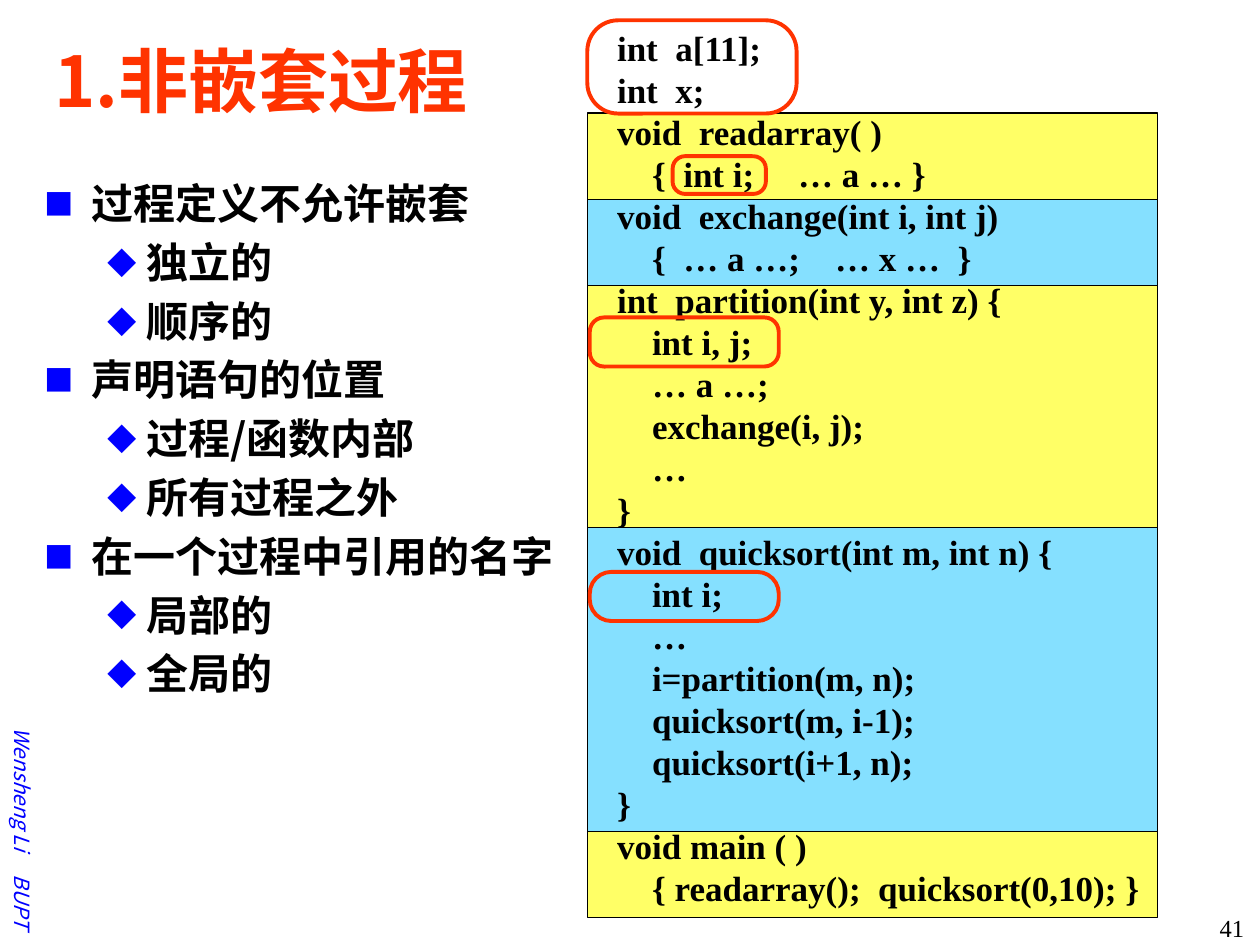
from lxml.etree import SubElement
from pptx import Presentation
from pptx.dml.color import RGBColor
from pptx.enum.shapes import MSO_SHAPE as Shape
from pptx.enum.text import MSO_ANCHOR as Anchor, MSO_AUTO_SIZE as AutoSize, PP_ALIGN as Align
from pptx.oxml.ns import qn
from pptx.util import Cm, Pt

COLORS = {"black": "000000", "blue": "0000FF", "red": "FF3300",
          "yellow": "FFFF66", "sky": "85E0FF"}
SANS, SERIF = "Noto Sans CJK SC", "Times New Roman"

OUTLINE = [
    ("过程定义不允许嵌套", ["独立的", "顺序的"]),
    ("声明语句的位置", ["过程/函数内部", "所有过程之外"]),
    ("在一个过程中引用的名字", ["局部的", "全局的"]),
]
# Bullet character, text indent and hanging width in cm for each level
BULLETS = [("■", 0.95, 0.95), ("◆", 2.06, 0.79)]

CODE = [
    "int  a[11];",
    "int  x;",
    "void  readarray( )",
    "    {  int i;     … a … }",
    "void  exchange(int i, int j)",
    "    {  … a …;    … x …  }",
    "int  partition(int y, int z) {",
    "    int i, j;",
    "    … a …;",
    "    exchange(i, j);",
    "    …",
    "}",
    "void  quicksort(int m, int n) {",
    "    int i;",
    "    …",
    "    i=partition(m, n);",
    "    quicksort(m, i-1);",
    "    quicksort(i+1, n);",
    "}",
    "void main ( )",
    "    { readarray();  quicksort(0,10); }",
]
# Heights in cm of the bands behind the procedures, from top to bottom
BAND_LEFT, BAND_TOP, BAND_WIDTH = 11.85, 2.28, 11.48
BAND_HEIGHTS = [1.74, 1.74, 4.88, 6.12, 1.74]
# Left, top, width, height in cm and corner ratio of each declaration frame
FRAMES = [
    (11.84, 0.41, 4.22, 1.88, 0.33),
    (13.56, 3.15, 1.88, 0.76, 0.33),
    (11.89, 6.4, 3.81, 0.99, 0.29),
    (11.89, 11.53, 3.81, 0.99, 0.44),
]


def color(name):
    return RGBColor.from_string(COLORS[name])


def place(shape, left, top, width, height):
    shape.left, shape.top = Cm(left), Cm(top)
    shape.width, shape.height = Cm(width), Cm(height)


def format_runs(paragraph, size, font_name, color_name, bold=False, italic=False):
    for run in paragraph.runs:
        font = run.font
        font.size, font.name = Pt(size), font_name
        font.bold, font.italic = bold, italic
        font.color.rgb = color(color_name)
        SubElement(font._element, qn("a:ea"), typeface=font_name)


def add_bullet(paragraph, level):
    character, indent, hanging = BULLETS[level]
    paragraph.level = level
    properties = paragraph._p.get_or_add_pPr()
    properties.set("marL", str(Cm(indent)))
    properties.set("indent", str(-Cm(hanging)))
    bullet_color = SubElement(properties, qn("a:buClr"))
    SubElement(bullet_color, qn("a:srgbClr"), val=COLORS["blue"])
    SubElement(properties, qn("a:buSzPct"), val="70000")
    SubElement(properties, qn("a:buFont"), typeface=SANS)
    SubElement(properties, qn("a:buChar"), char=character)


def fill_title(title):
    place(title, 0.84, 0.43, 23.93, 2.34)
    text_frame = title.text_frame
    text_frame.text = "1.非嵌套过程"
    text_frame.vertical_anchor = Anchor.MIDDLE
    text_frame.auto_size = AutoSize.NONE
    paragraph = text_frame.paragraphs[0]
    paragraph.alignment = Align.LEFT
    format_runs(paragraph, 40, SANS, "red", bold=True)


def fill_outline(body):
    place(body, 0.64, 3.38, 11.2, 14.4)
    text_frame = body.text_frame
    text_frame.auto_size = AutoSize.NONE
    text_frame.margin_top = Cm(0.2)
    lines = []
    for heading, details in OUTLINE:
        lines.append((heading, 0))
        lines.extend((detail, 1) for detail in details)
    text_frame.text = "\n".join(text for text, _ in lines)
    for number, (paragraph, (_, level)) in enumerate(zip(text_frame.paragraphs, lines)):
        add_bullet(paragraph, level)
        paragraph.line_spacing = Pt(28.8)
        paragraph.space_before = Pt(4.8 if number else 0)
        format_runs(paragraph, 24, SANS, "black", bold=True)


def add_band(slide, top, height, fill_name):
    band = slide.shapes.add_shape(Shape.RECTANGLE, Cm(BAND_LEFT), Cm(top),
                                  Cm(BAND_WIDTH), Cm(height))
    band.shadow.inherit = False
    band.fill.solid()
    band.fill.fore_color.rgb = color(fill_name)
    band.line.color.rgb = color("black")
    band.line.width = Pt(0.75)


def add_frame(slide, left, top, width, height, corner):
    frame = slide.shapes.add_shape(Shape.ROUNDED_RECTANGLE, Cm(left), Cm(top),
                                   Cm(width), Cm(height))
    frame.shadow.inherit = False
    frame.adjustments[0] = corner
    frame.fill.background()
    frame.line.color.rgb = color("red")
    frame.line.width = Pt(2.25)


def add_text(slide, left, top, width, height, text):
    box = slide.shapes.add_textbox(Cm(left), Cm(top), Cm(width), Cm(height))
    box.text_frame.word_wrap = True
    box.text_frame.text = text
    return box


def add_code(slide):
    box = add_text(slide, 12.19, 0.41, 12.5, 18.26, "\n".join(CODE))
    for paragraph in box.text_frame.paragraphs:
        paragraph.line_spacing = Pt(24)
        format_runs(paragraph, 20, SERIF, "black", bold=True)


def add_author(slide):
    box = add_text(slide, -2.9, 15.24, 6.71, 0.76, "Wensheng Li")
    box.rotation = 90
    box.text_frame.vertical_anchor = Anchor.MIDDLE
    paragraph = box.text_frame.paragraphs[0]
    paragraph.alignment = Align.RIGHT
    gap = paragraph.add_run()
    gap.text = " "
    paragraph.add_run().text = "BUPT"
    format_runs(paragraph, 12, SANS, "blue", italic=True)
    # Wide letter spacing separates the name from the university
    gap.font._element.set("spc", "1075")


def add_page_number(slide):
    box = add_text(slide, 23.22, 18.29, 2.11, 0.76, "41")
    paragraph = box.text_frame.paragraphs[0]
    paragraph.alignment = Align.RIGHT
    format_runs(paragraph, 14, SERIF, "black")


def main():
    presentation = Presentation()
    presentation.slide_width, presentation.slide_height = Cm(25.4), Cm(19.05)
    slide = presentation.slides.add_slide(presentation.slide_layouts[1])

    # Title and outline
    fill_title(slide.shapes.title)
    fill_outline(slide.placeholders[1])

    # Coloured bands, alternating from procedure to procedure
    for number, height in enumerate(BAND_HEIGHTS):
        top = BAND_TOP + sum(BAND_HEIGHTS[:number])
        add_band(slide, top, height, ("yellow", "sky")[number % 2])

    # Program and the frames around its declarations
    add_code(slide)
    for frame in FRAMES:
        add_frame(slide, *frame)

    # Margin texts
    add_author(slide)
    add_page_number(slide)
    presentation.save("out.pptx")


if __name__ == "__main__":
    main()
